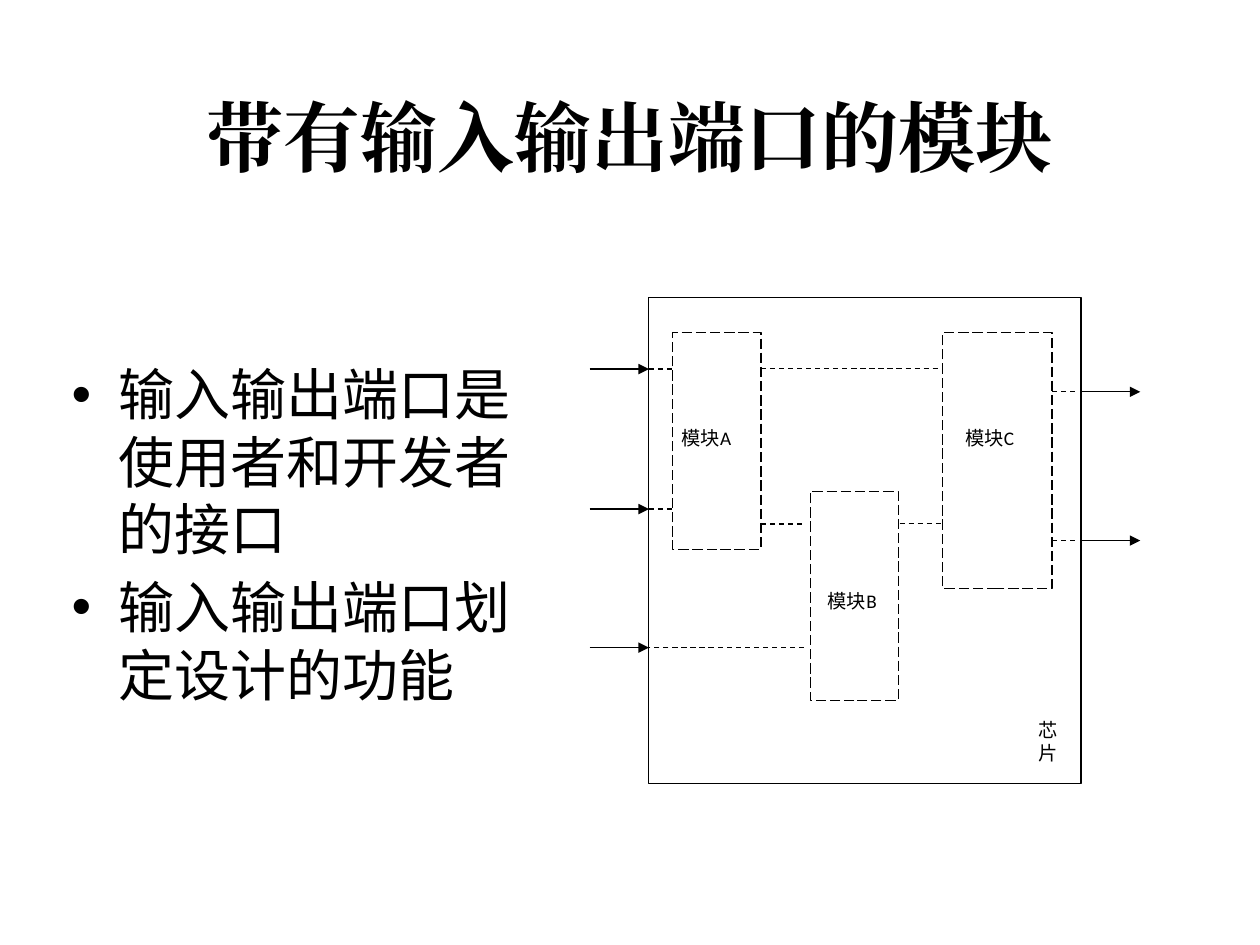
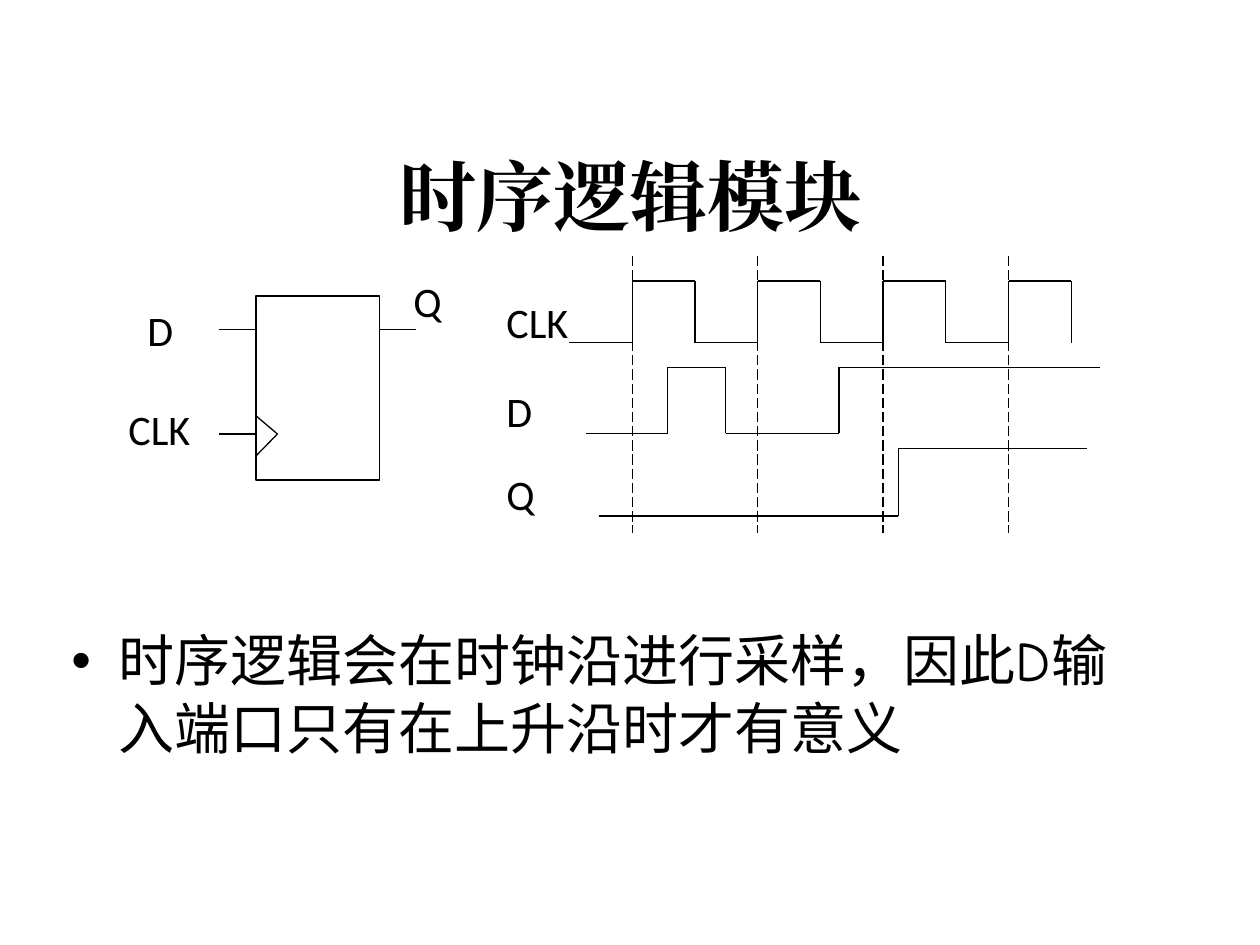
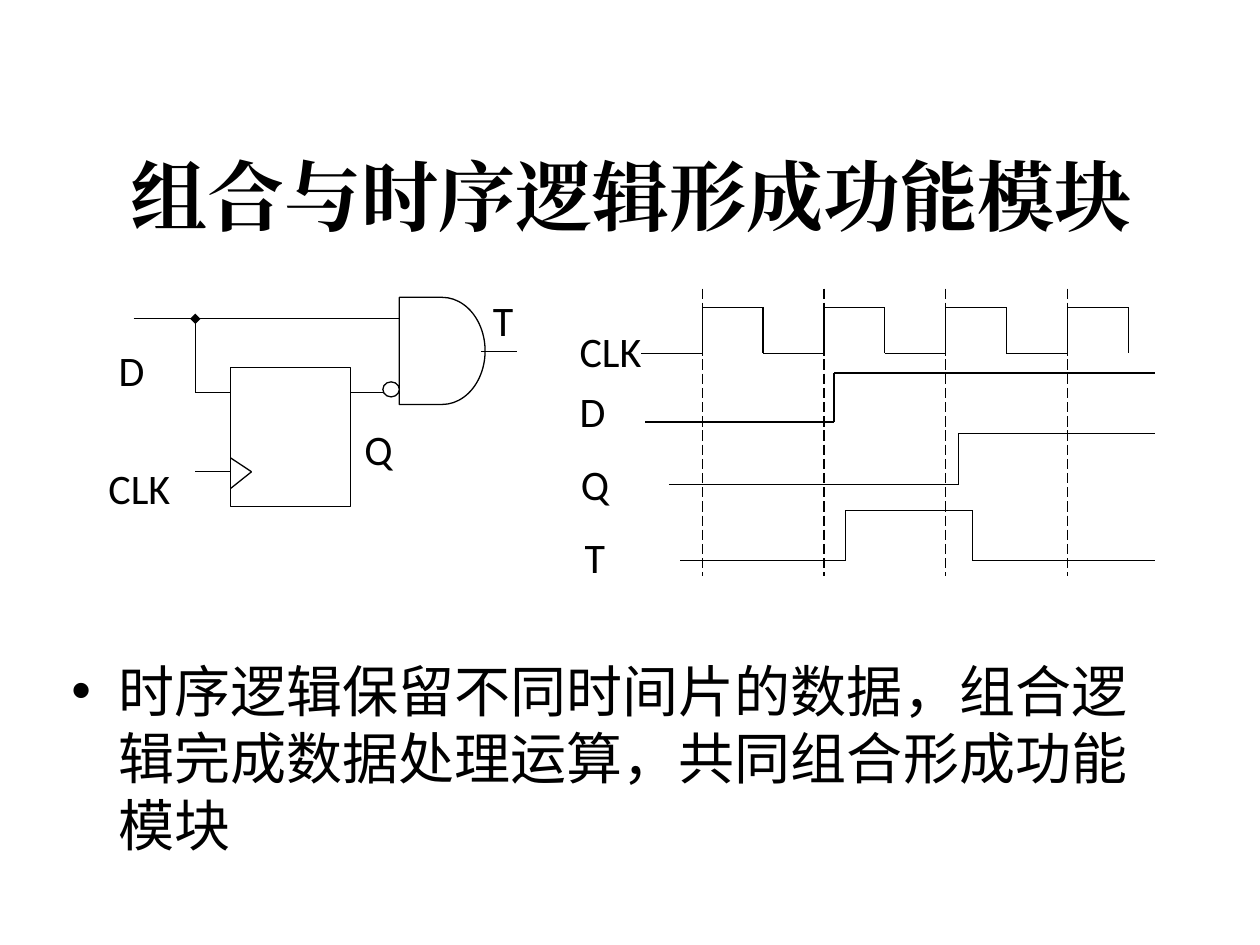
from itertools import pairwise

from lxml import etree
from pptx import Presentation
from pptx.dml.color import RGBColor
from pptx.enum import dml, shapes, text
from pptx.oxml import ns
from pptx.util import Pt

INK = RGBColor(0x00, 0x00, 0x00)
PAPER = RGBColor(0xFF, 0xFF, 0xFF)
TITLE_FONT, BODY_FONT, LABEL_FONT = "Times New Roman", "Comic Neue", "Calibri"
TITLE_SIZE, BODY_SIZE, SIGNAL_SIZE, MODULE_SIZE = 44, 32, 24, 11
LINE_WIDTH = 0.75
BULLET_INDENT = 27
DASH, LONG_DASH = dml.MSO_LINE.DASH, dml.MSO_LINE.LONG_DASH
LOWER_TITLE = (36.7, 66.2, 648, 90)


def add_xml(parent, tag, **attributes):
    return etree.SubElement(parent, ns.qn(tag), attributes)


def add_text(slide, box, *paragraphs, font=LABEL_FONT, size=SIGNAL_SIZE, bold=False,
             align=text.PP_ALIGN.LEFT, anchor=text.MSO_ANCHOR.TOP,
             inset=(0, 0), top_inset=None, bullet=None):
    frame = slide.shapes.add_textbox(*map(Pt, box)).text_frame
    frame.word_wrap = True
    frame.vertical_anchor = anchor
    side, end = inset
    frame.margin_left = frame.margin_right = Pt(side)
    frame.margin_bottom = Pt(end)
    frame.margin_top = Pt(end if top_inset is None else top_inset)
    for index, wording in enumerate(paragraphs):
        paragraph = frame.add_paragraph() if index else frame.paragraphs[0]
        paragraph.alignment = align
        run = paragraph.add_run()
        run.text = wording
        run.font.name, run.font.size, run.font.bold = font, Pt(size), bold
        run.font.color.rgb = INK
        add_xml(run.font._element, "a:ea", typeface=font)
        if bullet:
            paragraph.space_before = Pt(size * 0.2)
            properties = paragraph._p.get_or_add_pPr()
            properties.set("marL", str(Pt(BULLET_INDENT)))
            properties.set("indent", str(-Pt(BULLET_INDENT)))
            add_xml(properties, "a:buFont", typeface="Arial")
            add_xml(properties, "a:buChar", char=bullet)


def add_title(slide, box, wording):
    add_text(slide, box, wording, font=TITLE_FONT, size=TITLE_SIZE, bold=True,
             align=text.PP_ALIGN.CENTER, anchor=text.MSO_ANCHOR.MIDDLE, inset=(7.2, 3.6))


def add_bullets(slide, box, *points, top_inset=3.6):
    add_text(slide, box, *points, font=BODY_FONT, size=BODY_SIZE,
             inset=(7.2, 3.6), top_inset=top_inset, bullet="•")


def add_signal(slide, left, top, name):
    add_text(slide, (left, top, 50 if len(name) > 1 else 24, 24), name)


def style_line(line, dash=None):
    line.color.rgb = INK
    line.width = Pt(LINE_WIDTH)
    if dash:
        line.dash_style = dash


def add_outline(slide, box, kind=shapes.MSO_SHAPE.RECTANGLE, dash=None):
    outline = slide.shapes.add_shape(kind, *map(Pt, box))
    outline.shadow.inherit = False
    outline.fill.solid()
    outline.fill.fore_color.rgb = PAPER
    style_line(outline.line, dash)


def add_line(slide, start, end, dash=None, head=None, tail=None):
    wire = slide.shapes.add_connector(shapes.MSO_CONNECTOR.STRAIGHT,
                                      *map(Pt, (*start, *end)))
    style_line(wire.line, dash)
    for tag, arrow in (("a:headEnd", head), ("a:tailEnd", tail)):
        if arrow:
            add_xml(wire.line._get_or_add_ln(), tag, type=arrow)
    add_xml(wire._element.spPr, "a:effectLst")


def add_path(slide, points):
    for start, end in pairwise(points):
        if start != end:
            add_line(slide, start, end)


def chip_diagram(slide, box):
    left, top, width, height = box
    stub = 33.8
    add_outline(slide, box)
    add_text(slide, (left + 222.5, top + 240.5, 21.6, 28.8), "芯片", size=MODULE_SIZE)

    modules = (
        ("模块A", (13.7, 20.2, 50.4, 123.8), (5, 53.3)),
        ("模块B", (92.2, 110.9, 50.4, 119.5), (10, 56)),
        ("模块C", (167.8, 20.2, 62.6, 146.2), (13, 53.3)),
    )
    for name, (x, y, w, h), (label_x, label_y) in modules:
        x, y = left + x, top + y
        add_outline(slide, (x, y, w, h), dash=LONG_DASH)
        add_text(slide, (x + label_x, y + label_y, 33.8, 28.8), name, size=MODULE_SIZE)

    port_arrows = [(-stub, 0, y) for y in (41, 121, 200.2)]
    port_arrows += [(width, width + stub, y) for y in (54, 139)]
    for x1, x2, y in port_arrows:
        add_line(slide, (left + x1, top + y), (left + x2, top + y), tail="triangle")

    inner_wires = (
        (0, 13.7, 41), (0, 13.7, 121), (88.6, -3.6, 200.2),
        (64.1, 166.3, 40.6), (64.1, 88.6, 129.6), (143.3, 167.8, 129.2),
        (230.4, 244.1, 54), (230.4, 244.1, 139),
    )
    for x1, x2, y in inner_wires:
        add_line(slide, (left + x1, top + y), (left + x2, top + y), dash=DASH)


def flip_flop(slide, box):
    """Register with a clock notch; its leads and notch scale with the box."""
    left, top, width, height = box
    right, lead, notch = left + width, width * 0.296, width * 0.175
    data_y, clock_y = top + height * 0.18, top + height * 0.75
    add_outline(slide, box)
    add_path(slide, ((left, top + height * 0.65), (left + notch, clock_y),
                     (left, top + height * 0.87)))
    add_line(slide, (left, clock_y), (left - lead, clock_y))
    add_line(slide, (left, data_y), (left - lead, data_y))
    add_line(slide, (right + lead, data_y), (right, data_y))


def register_circuit(slide, left, top):
    flip_flop(slide, (left + 72.8, top + 11.5, 70.6, 105.1))
    for x, y, name in ((10.8, 16.5, "D"), (0, 72.7, "CLK"), (162.8, 0, "Q")):
        add_signal(slide, left + x, top + y, name)


def edge_detector_circuit(slide, left, top):
    data_y, branch_x = top + 13.7, left + 49.6
    gate_x = left + 166.2
    flip_flop(slide, (left + 69.8, top + 41.7, 68.4, 79.2))
    add_line(slide, (left + 14.4, data_y), (gate_x, data_y))
    add_line(slide, (branch_x, data_y), (branch_x, top + 55.5), head="diamond")
    add_outline(slide, (gate_x, top + 1.4, 49, 61.2), shapes.MSO_SHAPE.FLOWCHART_DELAY)
    add_outline(slide, (gate_x - 9.4, top + 49.7, 9.4, 8.6), shapes.MSO_SHAPE.OVAL)
    add_line(slide, (left + 233.2, top + 32.4), (left + 213, top + 32.4))
    for x, y, name in ((5.8, 28.1, "D"), (0, 95.7, "CLK"),
                       (146.2, 73.4, "Q"), (219.6, 0, "T")):
        add_signal(slide, left + x, top + y, name)


def waveform(slide, left, low, high, start, toggles, end):
    """Trace that starts low and changes level at every toggle."""
    level, other = low, high
    points = [(left + start, level)]
    for x in toggles:
        points += [(left + x, level), (left + x, other)]
        level, other = other, level
    add_path(slide, points + [(left + end, level)])


def timing_diagram(slide, box, clock, signals, periods=4):
    """clock: label y, low, high, start, half period.
    signals: name, label x, label y, low, high, start, toggles, end."""
    left, top, _, height = box
    label_y, low, high, start, half = clock
    edges = [start + half * step for step in range(1, 2 * periods + 1)]
    add_signal(slide, left, top + label_y, "CLK")
    waveform(slide, left, top + low, top + high, start, edges, edges[-1])
    for rise in edges[::2]:
        add_line(slide, (left + rise, top), (left + rise, top + height), dash=LONG_DASH)
    for name, label_x, label_y, low, high, start, toggles, end in signals:
        add_signal(slide, left + label_x, top + label_y, name)
        waveform(slide, left, top + low, top + high, start, toggles, end)


def ports_slide(slide):
    add_title(slide, (36, 43.2, 648, 68.4), "带有输入输出端口的模块")
    chip_diagram(slide, (370.8, 169.9, 247, 278))
    add_bullets(slide, (33.8, 157.7, 281.5, 308.9),
                "输入输出端口是使用者和开发者的接口", "输入输出端口划定设计的功能",
                top_inset=48)


def sequential_slide(slide):
    add_title(slide, LOWER_TITLE, "时序逻辑模块")
    register_circuit(slide, 73.4, 157.7)
    timing_diagram(
        slide, (289.4, 146.2, 339, 158.4), (23, 49.7, 14.4, 36, 35.85),
        (("D", 0, 74.2, 101.5, 63.7, 45.4, (92.2, 125.3, 190), 339),
         ("Q", 0, 121.7, 148.7, 110.2, 52.6, (224,), 332)))
    add_bullets(slide, (33.8, 354.2, 635.8, 129.6),
                "时序逻辑会在时钟沿进行采样，因此D输入端口只有在上升沿时才有意义")


def combined_slide(slide):
    add_title(slide, LOWER_TITLE, "组合与时序逻辑形成功能模块")
    add_bullets(slide, (33.8, 371.5, 635.8, 118.1),
                "时序逻辑保留不同时间片的数据，组合逻辑完成数据处理运算，共同组合形成功能模块")
    edge_detector_circuit(slide, 62, 168.5)
    timing_diagram(
        slide, (331.2, 164.9, 329, 164.2), (20.9, 37, 10.8, 35.3, 34.77),
        (("D", 0, 55.4, 76.3, 48.2, 37.4, (145.4,), 329),
         ("Q", 0.7, 97.2, 112, 82.8, 51.1, (216.7,), 329),
         ("T", 2.9, 139, 155.5, 126.7, 57.6, (151.9, 224.6), 329)))


def main():
    deck = Presentation()
    deck.slide_width, deck.slide_height = Pt(720), Pt(540)
    blank = deck.slide_layouts[6]
    for build in (ports_slide, sequential_slide, combined_slide):
        build(deck.slides.add_slide(blank))
    deck.save("out.pptx")


if __name__ == "__main__":
    main()
